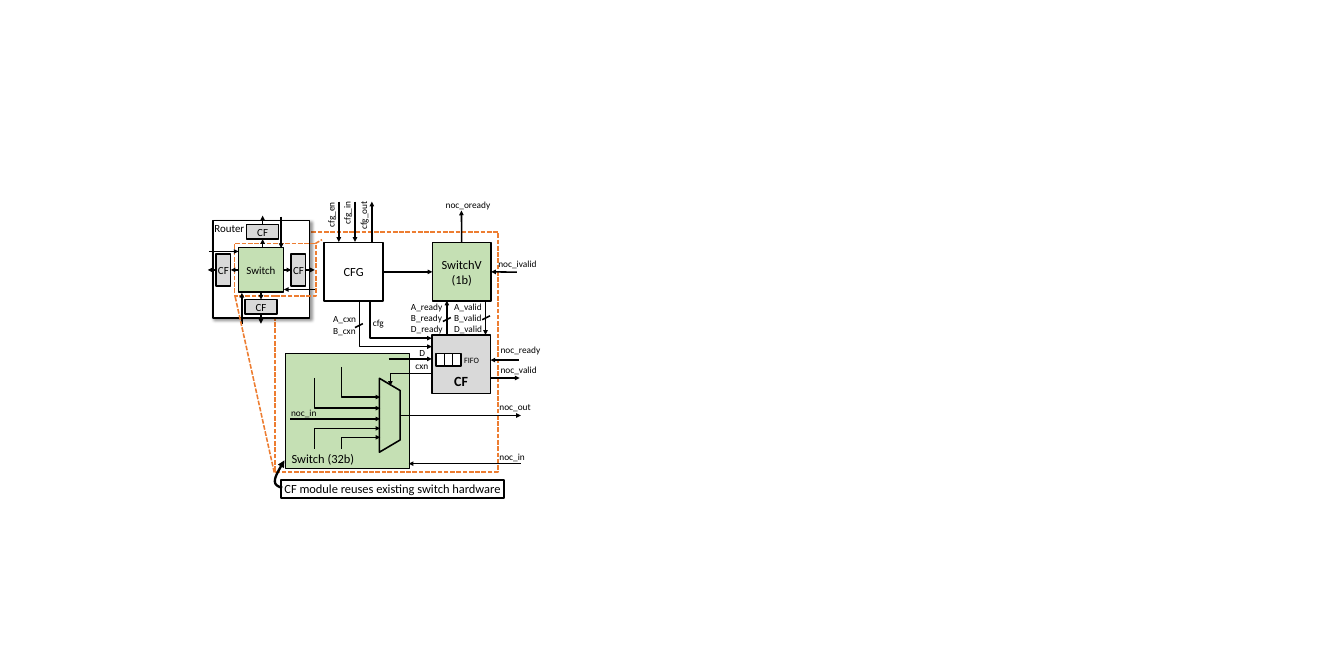
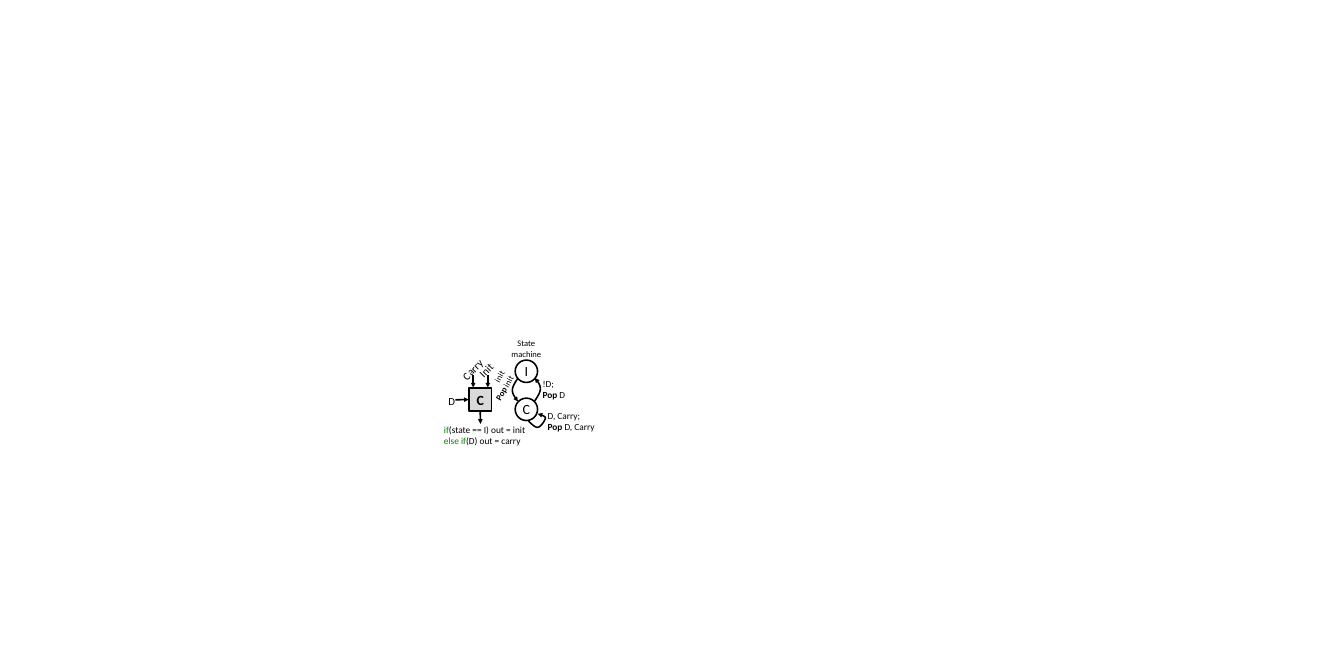
from dataclasses import dataclass

from lxml import etree
from pptx import Presentation
from pptx import util as u
from pptx.dml.color import RGBColor
from pptx.enum import dml, shapes, text
from pptx.oxml.ns import qn


@dataclass(frozen=True)
class Theme:
    font: str = "Calibri"
    ink: str = "000000"
    white: str = "FFFFFF"
    green: str = "C5E0B4"
    grey: str = "D9D9D9"
    orange: str = "ED7D31"
    keyword: str = "008001"
    line: float = 2
    heavy: float = 3
    tiny: float = 10.5
    note: float = 11
    label: float = 12
    inner: float = 14
    block: float = 16
    title: float = 18


T = Theme()
RECT = shapes.MSO_SHAPE.RECTANGLE
OVAL = shapes.MSO_SHAPE.OVAL
TOP, LEFT, BOTTOM, RIGHT = range(4)

# Places are in inches: left, top, width, height.
# Boxes: name, place, fill, lines of text, text size, further options
CF_LONG, CF_SHORT = 0.57, 0.26
ROUTER_CFS = [  # name, centre, width, height
    ("cf_right", (5.33, 4.82), CF_SHORT, CF_LONG),
    ("cf_left", (3.99, 4.82), CF_SHORT, CF_LONG),
    ("cf_top", (4.69, 4.14), CF_LONG, CF_SHORT),
    ("cf_bottom", (4.66, 5.48), CF_LONG, CF_SHORT),
]
ROUTER_BOXES = [
    ("frame", (4.91, 4.14, 3.98, 4.29), T.white, [], 0, {"dashed": True}),
    ("switch32", (5.1, 6.31, 2.21, 2.06), T.green, [], 0, {}),
    ("switch_v", (7.72, 4.33, 1.05, 1.05), T.green, ["SwitchV", "(1b)"], T.block, {}),
    ("cfg", (5.79, 4.33, 1.05, 1.05), T.white, ["CFG"], T.block, {}),
    ("mux", (6.3, 7.23, 1.32, 0.37), None, [], 0,
     {"geom": shapes.MSO_SHAPE.TRAPEZOID, "rotation": 90, "adjust": 0.59}),
    ("cf", (7.71, 5.98, 1.05, 1.05), T.grey, ["CF"], T.title, {"bold": True, "low": 0.07}),
    *[(f"fifo{i}", (7.79 + 0.145 * i, 6.31, 0.15, 0.23), T.white, [], 0, {}) for i in range(3)],
    ("note", (5.02, 8.57, 3.98, 0.32), T.white,
     ["CF module reuses existing switch hardware"], T.block, {}),
    ("router", (3.8, 3.94, 1.73, 1.74), T.white, [], 0, {"shadow": True}),
    ("switch", (4.26, 4.42, 0.8, 0.8), T.green, ["Switch"], T.inner, {}),
    *[(name, (x - w / 2, y - h / 2, w, h), T.grey, ["CF"], T.inner, {})
      for name, (x, y), w, h in ROUTER_CFS],
    ("zoom", (4.19, 4.35, 1.45, 0.94), None, [], 0, {"dashed": True}),
]
# Wires run through points; an end may be (box name, side)
ROUTER_WIRES = [
    [(9.3, 8.28), (7.3, 8.28)],
    [(8.67, 5.38), (8.67, 5.98)],
    [(7.14, 7.42), (9.3, 7.42)],
    [(7.72, 6.67), (6.97, 6.67), (6.97, 6.89)],
    [(9.23, 4.86), ("switch_v", RIGHT)],
    [(9.26, 6.43), (8.76, 6.43)],
    [(6.94, 6.41), (7.71, 6.41)],
    [("cfg", RIGHT), ("switch_v", LEFT)],
    [(7.98, 5.97), (7.98, 5.37)],
    [("switch_v", TOP), (8.24, 3.76)],
    [(6.1, 6.55), (6.1, 7.09), (6.79, 7.09)],
    [(6.1, 8.02), (6.1, 7.81), (6.79, 7.81)],
    [(5.18, 7.48), (6.79, 7.48)],
    [(5.62, 6.75), (5.62, 7.29), (6.79, 7.29)],
    [(5.62, 8.01), (5.62, 7.65), (6.79, 7.65)],
    [(6.05, 3.6), (6.05, 4.32)],
    [(6.34, 3.6), (6.34, 4.32)],
    [(6.64, 4.32), (6.64, 3.6)],
    [(8.76, 6.75), (9.28, 6.75)],
    [(6.42, 5.38), (6.42, 6.19), (7.71, 6.19)],
    [(6.61, 5.38), (6.61, 6.04), (7.71, 6.04)],
    [("switch", RIGHT), ("cf_right", LEFT)],
    [(5.63, 5.17), (5.07, 5.17)],
    [("cf_right", RIGHT), (5.62, 4.82)],
    [("cf_left", LEFT), (3.71, 4.82)],
    [(3.73, 4.49), (4.26, 4.49)],
    [("switch", LEFT), ("cf_left", RIGHT)],
    [("cf_top", TOP), (4.69, 3.85)],
    [(4.69, 4.41), ("cf_top", BOTTOM)],
    [(5.02, 3.87), (5.02, 4.43)],
    [("switch", BOTTOM), ("cf_bottom", TOP)],
    [("cf_bottom", BOTTOM), (4.66, 5.78)],
    [(4.32, 5.79), (4.32, 5.23)],
]
BUS_TICKS = [[(x, y), (x - 0.14, y + 0.07)] for x, y in ((8.75, 5.64), (8.05, 5.67), (6.48, 5.78))]
ZOOM_LINES = [[(5.63, 4.35), (5.75, 4.28)], [(4.2, 5.3), (4.9, 8.45)]]
NOTE_ARROW = [(5.04, 8.71), (4.97, 8.69), (4.9, 8.66), (4.91, 8.58),
              (4.91, 8.5), (5, 8.36), (5.08, 8.22)]
# Labels: place, lines of text, text size, further options
UPRIGHT = {"rotation": 270, "wrap": True}
ROUTER_LABELS = [
    ((8.01, 5.32, 0.7, 0.71), ["A_valid", "B_valid", "D_valid"], T.label, {}),
    ((7.24, 5.32, 0.77, 0.71), ["A_ready", "B_ready", "D_ready"], T.label, {}),
    ((7.32, 6.39, 0.44, 0.3), ["cxn"], T.label, {}),
    ((5.11, 8.01, 2, 0.56), ["Switch (32b)"], T.block, {}),
    ((8.8, 4.57, 0.89, 0.3), ["noc_ivalid"], T.label, {}),
    ((8.82, 7.12, 1.15, 0.45), ["noc_out"], T.label, {}),
    ((8.82, 8, 0.99, 0.45), ["noc_in"], T.label, {}),
    ((8.84, 6.1, 0.92, 0.3), ["noc_ready"], T.label, {}),
    ((8.84, 6.46, 0.85, 0.3), ["noc_valid"], T.label, {}),
    ((7.86, 3.5, 1.01, 0.3), ["noc_oready"], T.label, {}),
    ((5.1, 7.22, 0.99, 0.45), ["noc_in"], T.label, {}),
    ((8.19, 6.3, 0.47, 0.28), ["FIFO"], T.tiny, {}),
    ((5.5, 3.6, 0.82, 0.3), ["cfg_en"], T.label, UPRIGHT),
    ((5.89, 3.65, 0.61, 0.3), ["cfg_in"], T.label, UPRIGHT),
    ((6.12, 3.68, 0.74, 0.3), ["cfg_out"], T.label, UPRIGHT),
    ((5.85, 5.55, 0.66, 0.5), ["A_cxn", "B_cxn"], T.label, {}),
    ((7.39, 6.15, 0.31, 0.3), ["D"], T.label, {}),
    ((6.56, 5.61, 0.4, 0.3), ["cfg"], T.label, {}),
    ((3.73, 3.9, 0.74, 0.34), ["Router"], T.inner, {}),
]

STATE_BOXES = [
    ("carry", (8.37, 6.93, 0.41, 0.41), T.grey, ["C"], T.title, {"bold": True}),
    ("state_i", (9.2, 6.43, 0.4, 0.4), T.white, ["I"], T.title, {"geom": OVAL}),
    ("state_c", (9.2, 7.11, 0.4, 0.4), T.white, ["C"], T.title, {"geom": OVAL}),
]
STATE_WIRES = [
    [("carry", BOTTOM), (8.58, 7.57)],
    [(8.45, 6.7), (8.45, 6.92)],
    [(8.71, 6.7), (8.71, 6.92)],
    [(8.13, 7.14), ("carry", LEFT)],
]
STATE_CURVES = [
    [(9.25, 6.75), (9.2, 6.83), (9.15, 6.9), (9.15, 6.97),
     (9.15, 7.04), (9.2, 7.1), (9.25, 7.17)],
    [(9.55, 7.16), (9.6, 7.08), (9.65, 7.01), (9.65, 6.94),
     (9.65, 6.87), (9.6, 6.81), (9.55, 6.75)],
    [(9.44, 7.52), (9.5, 7.58), (9.56, 7.64), (9.61, 7.63), (9.66, 7.62),
     (9.74, 7.5), (9.74, 7.46), (9.73, 7.43), (9.67, 7.41), (9.6, 7.39)],
]
POP = ("Pop", {"bold": True})
IF, ELSE_IF = (("if", {"color": T.keyword}), ("else if", {"color": T.keyword}))
STATE_LABELS = [
    ((8.45, 6.44, 0.47, 0.34), ["Init"], T.inner, {"rotation": 315}),
    ((8.13, 6.43, 0.63, 0.34), ["Carry"], T.inner, {"rotation": 315}),
    ((7.91, 6.99, 0.32, 0.34), ["D"], T.inner, {}),
    ((7.83, 7.52, 1.67, 0.5),
     [[IF, "(state == I) out = init"], [ELSE_IF, "(D) out = carry"]], T.label, {}),
    ((9.68, 7.27, 1.05, 0.5), ["D, Carry;", [POP, " D, Carry"]], T.label, {}),
    ((9.59, 6.7, 0.61, 0.5), ["!D;", [POP, " D"]], T.label, {}),
    ((8.58, 6.66, 0.69, 0.47), ["init", [POP, " init"]], T.note,
     {"rotation": 300, "wrap": True, "align": text.PP_ALIGN.RIGHT}),
    ((9.03, 5.99, 0.74, 0.47), ["State", "machine"], T.note, {"align": text.PP_ALIGN.CENTER}),
]


def inches(*values):
    return [u.Cm(v * 2.54) for v in values]


def write(tf, lines, size, align, bold=False):
    """Each line is a string or a list of strings and (string, style) runs."""
    for i, line in enumerate(lines):
        p = tf.paragraphs[0] if i == 0 else tf.add_paragraph()
        p.alignment = align
        for piece in [line] if isinstance(line, str) else line:
            words, style = (piece, {}) if isinstance(piece, str) else piece
            r = p.add_run()
            r.text = words
            r.font.name, r.font.size = T.font, u.Pt(size)
            r.font.bold = style.get("bold", bold)
            r.font.color.rgb = RGBColor.from_string(style.get("color", T.ink))


def stroke(line, dashed=False, width=T.line):
    line.color.rgb = RGBColor.from_string(T.orange if dashed else T.ink)
    line.width = u.Pt(width)
    if dashed:
        line.dash_style = dml.MSO_LINE.SQUARE_DOT


def add_arrowhead(sp):
    etree.SubElement(sp.element.spPr.find(qn("a:ln")), qn("a:tailEnd"), type="triangle")


def cast_shadow(sp):
    effects = sp.element.spPr.find(qn("a:effectLst"))
    shadow = etree.SubElement(effects, qn("a:outerShdw"), blurRad="50800", dist="38100",
                              dir="2700000", algn="tl", rotWithShape="0")
    color = etree.SubElement(shadow, qn("a:srgbClr"), val=T.ink)
    etree.SubElement(color, qn("a:alpha"), val="40000")


def add_box(s, place, fill, lines, size, geom=RECT, dashed=False, rotation=0,
            adjust=None, bold=False, low=None, shadow=False):
    """low sets the text that far above the bottom edge."""
    sp = s.shapes.add_shape(geom, *inches(*place))
    sp.rotation = rotation
    sp.shadow.inherit = False
    if shadow:
        cast_shadow(sp)
    if adjust is not None:
        sp.adjustments[0] = adjust
    if fill:
        sp.fill.solid()
        sp.fill.fore_color.rgb = RGBColor.from_string(fill)
    else:
        sp.fill.background()
    stroke(sp.line, dashed)
    tf = sp.text_frame
    tf.margin_left = tf.margin_right = tf.margin_top = tf.margin_bottom = 0
    tf.vertical_anchor = text.MSO_ANCHOR.MIDDLE
    if low is not None:
        tf.vertical_anchor = text.MSO_ANCHOR.BOTTOM
        tf.margin_bottom = inches(low)[0]
    write(tf, lines, size, text.PP_ALIGN.CENTER, bold)
    return sp


def add_straight(s, boxes, ends, arrow=True, dashed=False):
    points = [(0, 0) if end[0] in boxes else end for end in ends]
    c = s.shapes.add_connector(shapes.MSO_CONNECTOR.STRAIGHT, *inches(*points[0], *points[1]))
    for end, join in zip(ends, (c.begin_connect, c.end_connect)):
        if end[0] in boxes:
            join(boxes[end[0]], end[1])
    stroke(c.line, dashed)
    if arrow:
        add_arrowhead(c)
    etree.SubElement(c.element.spPr, qn("a:effectLst"))


def add_polyline(s, points, width=T.line):
    start, *rest = [inches(*point) for point in points]
    builder = s.shapes.build_freeform(*start)
    builder.add_line_segments(rest, close=False)
    sp = builder.convert_to_shape()
    sp.shadow.inherit = False
    sp.fill.background()
    stroke(sp.line, width=width)
    add_arrowhead(sp)


def bezier_points(controls, steps=12):
    """Points along joined cubic curves that share their end points."""
    points = [controls[0]]
    for i in range(0, len(controls) - 1, 3):
        for t in (k / steps for k in range(1, steps + 1)):
            weights = ((1 - t) ** 3, 3 * t * (1 - t) ** 2, 3 * t * t * (1 - t), t ** 3)
            points.append([sum(w * c[axis] for w, c in zip(weights, controls[i:i + 4]))
                           for axis in (0, 1)])
    return points


def add_label(s, place, lines, size, rotation=0, wrap=False, align=text.PP_ALIGN.LEFT):
    box = s.shapes.add_textbox(*inches(*place))
    box.rotation = rotation
    tf = box.text_frame
    tf.word_wrap = wrap
    tf.auto_size = text.MSO_AUTO_SIZE.SHAPE_TO_FIT_TEXT
    write(tf, lines, size, align)


def add_diagram(prs, boxes, wires, curves, labels, ticks=(), zoom_lines=(), curve_width=T.line):
    s = prs.slides.add_slide(prs.slide_layouts[6])
    named = {name: add_box(s, *rest, **options) for name, *rest, options in boxes}
    for wire in wires:
        if len(wire) == 2:
            add_straight(s, named, wire)
        else:
            add_polyline(s, wire)
    for tick in ticks:
        add_straight(s, named, tick, arrow=False)
    for ends in zoom_lines:
        add_straight(s, named, ends, arrow=False, dashed=True)
    for controls in curves:
        add_polyline(s, bezier_points(controls), curve_width)
    for *label, options in labels:
        add_label(s, *label, **options)


def main():
    prs = Presentation()
    prs.slide_width, prs.slide_height = inches(24, 12)
    add_diagram(prs, ROUTER_BOXES, ROUTER_WIRES, [NOTE_ARROW], ROUTER_LABELS,
                BUS_TICKS, ZOOM_LINES, T.heavy)
    add_diagram(prs, STATE_BOXES, STATE_WIRES, STATE_CURVES, STATE_LABELS)
    prs.save("out.pptx")


if __name__ == "__main__":
    main()
